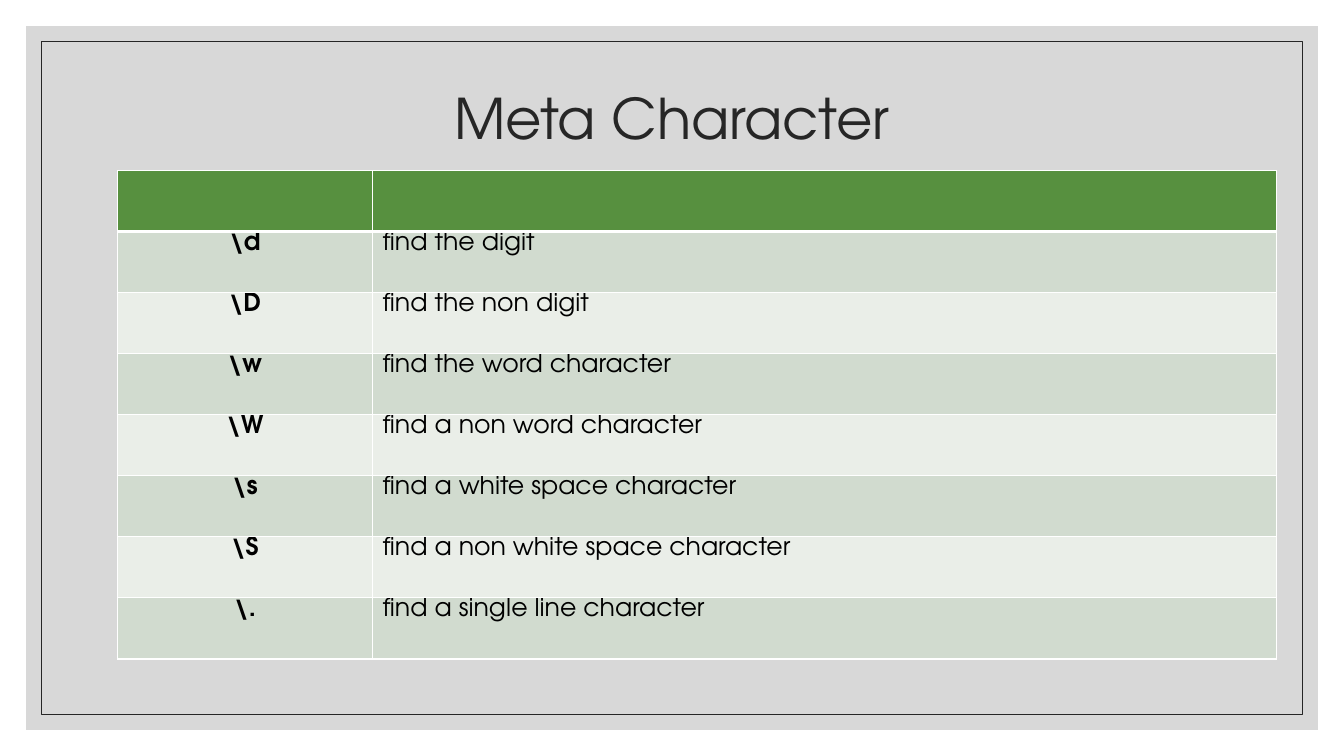
from lxml import etree
from pptx import Presentation
from pptx.dml.color import RGBColor
from pptx.enum import shapes, text
from pptx.oxml import ns
from pptx.util import Pt

FONT = "TeX Gyre Adventor"
GREY = RGBColor(0xBF, 0xBF, 0xBF)
DARK = RGBColor(0x26, 0x26, 0x26)
BLACK = RGBColor(0, 0, 0)
GREEN = RGBColor(0x57, 0x90, 0x3F)
BANDS = [RGBColor(0xD1, 0xDB, 0xCF), RGBColor(0xEA, 0xEE, 0xE8)]
ROWS = [
    ("\\d", "find the digit"),
    ("\\D", "find the non digit"),
    ("\\w", "find the word character"),
    ("\\W", "find a non word character"),
    ("\\s", "find a white space character"),
    ("\\S", "find a non white space character"),
    ("\\.", "find a single line character"),
]


def write(frame, words, size=18, color=BLACK, bold=False,
          align=text.PP_ALIGN.LEFT, space=1.0):
    para = frame.paragraphs[0]
    para.alignment = align
    para.line_spacing = space
    run = para.add_run()
    run.text = words
    font = run.font
    font.name, font.size, font.bold = FONT, Pt(size), bold
    font.color.rgb = color


def rect(slide, left, top, width, height):
    box = slide.shapes.add_shape(shapes.MSO_SHAPE.RECTANGLE,
                                 Pt(left), Pt(top), Pt(width), Pt(height))
    box.shadow.inherit = False
    return box


def frame(slide, left, top, width, height, gap=10.8):
    panel = rect(slide, left, top, width, height)
    panel.fill.solid()
    panel.fill.fore_color.rgb = GREY
    tint = panel.element.find(".//" + ns.qn("a:srgbClr"))
    etree.SubElement(tint, ns.qn("a:alpha"), val="60000")
    panel.line.fill.background()
    rim = rect(slide, left + gap, top + gap, width - 2 * gap, height - 2 * gap)
    rim.fill.background()
    rim.line.color.rgb = DARK
    rim.line.width = Pt(0.5)


def head(slide, left, top, width, height):
    title = slide.shapes.title
    title.left, title.top = Pt(left), Pt(top)
    title.width, title.height = Pt(width), Pt(height)
    title.element.getparent().append(title.element)
    body = title.text_frame
    body.auto_size = text.MSO_AUTO_SIZE.NONE
    body.vertical_anchor = text.MSO_ANCHOR.MIDDLE
    write(body, "Meta Character", size=40, color=DARK,
          align=text.PP_ALIGN.CENTER, space=0.9)


def edge(cell, low):
    props = cell._tc.get_or_add_tcPr()
    sides = [("a:lnL", 1), ("a:lnR", 1), ("a:lnT", 1), ("a:lnB", low)]
    for spot, (side, width) in enumerate(sides):
        line = etree.Element(ns.qn(side), w=str(Pt(width)))
        fill = etree.SubElement(line, ns.qn("a:solidFill"))
        etree.SubElement(fill, ns.qn("a:srgbClr"), val="FFFFFF")
        props.insert(spot, line)


def grid(slide, left, top, width, height, first=182.2):
    count = len(ROWS) + 1
    table = slide.shapes.add_table(count, 2, Pt(left), Pt(top),
                                   Pt(width), Pt(height)).table
    table.columns[0].width = Pt(first)
    table.columns[1].width = Pt(width - first)
    for i, row in enumerate([("", "")] + ROWS):
        table.rows[i].height = Pt(height / count)
        for j, words in enumerate(row):
            cell = table.cell(i, j)
            cell.margin_left = cell.margin_right = Pt(7.2)
            cell.margin_top = cell.margin_bottom = Pt(0)
            cell.fill.solid()
            cell.fill.fore_color.rgb = BANDS[(i - 1) % 2] if i else GREEN
            edge(cell, 1 if i else 3)
            if words:
                align = text.PP_ALIGN.LEFT if j else text.PP_ALIGN.CENTER
                write(cell.text_frame, words, bold=j == 0, align=align)


def main():
    deck = Presentation()
    deck.slide_width, deck.slide_height = Pt(960), Pt(540)
    slide = deck.slides.add_slide(deck.slide_layouts[5])
    frame(slide, 18.7, 18.7, 922.6, 502.6)
    head(slide, 84, 52.6, 792, 68.4)
    grid(slide, 84, 121.7, 827.7, 349.2)
    deck.save("out.pptx")


if __name__ == "__main__":
    main()
